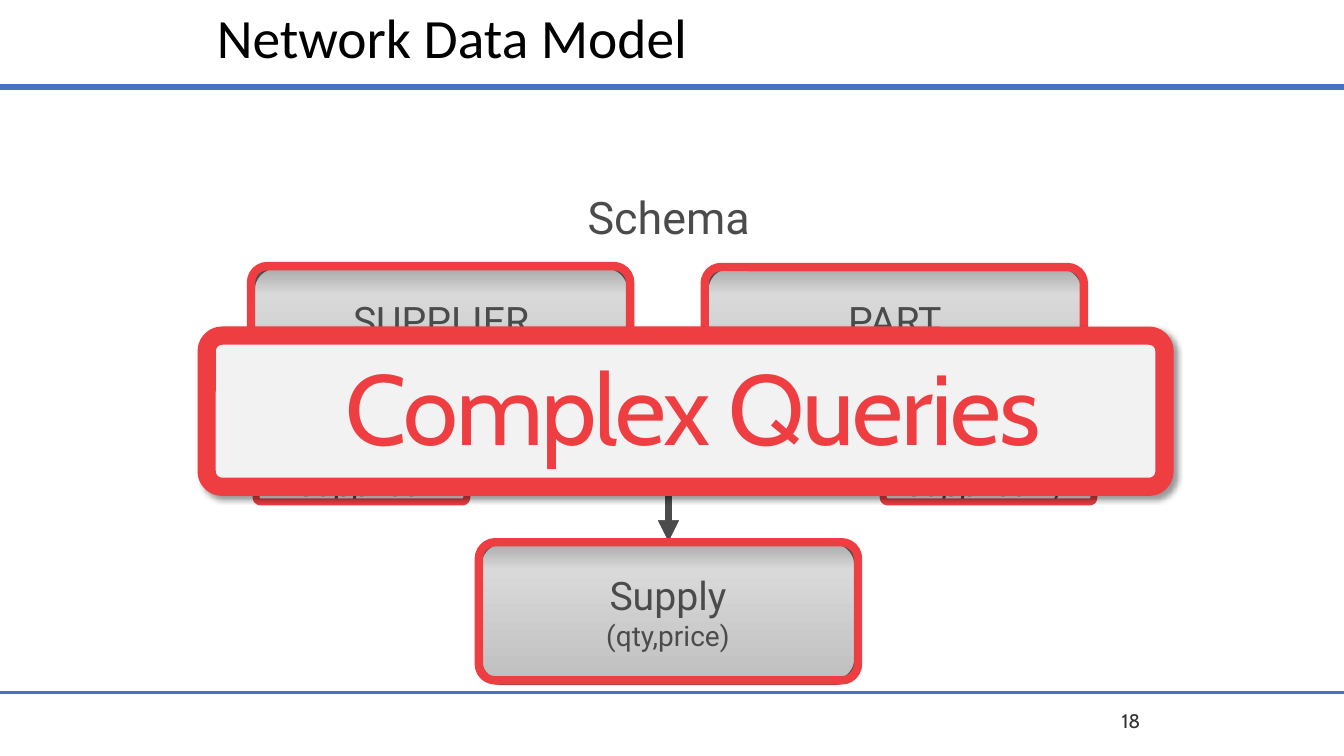
from copy import deepcopy
from lxml import etree
from pptx import Presentation
from pptx.dml.color import RGBColor
from pptx.enum.shapes import MSO_CONNECTOR, MSO_SHAPE
from pptx.enum.text import MSO_ANCHOR, MSO_AUTO_SIZE, PP_ALIGN
from pptx.oxml.ns import qn
from pptx.util import Inches, Pt

STRAIGHT, ELBOW = MSO_CONNECTOR.STRAIGHT, MSO_CONNECTOR.ELBOW
ROUND = MSO_SHAPE.ROUNDED_RECTANGLE
MIDDLE, TOP = MSO_ANCHOR.MIDDLE, MSO_ANCHOR.TOP
LEFT, CENTER, RIGHT = PP_ALIGN.LEFT, PP_ALIGN.CENTER, PP_ALIGN.RIGHT
FIT, FIXED = MSO_AUTO_SIZE.SHAPE_TO_FIT_TEXT, MSO_AUTO_SIZE.NONE
RED, GRAY, BLUE = "EF3E42", "4B4B4B", "4472C4"
STOPS = [(0, "A6A6A6"), (0.2, "D9D9D9"), (1, "BFBFBF")]


def paint(code):
    return RGBColor.from_string(code)


def put(target, values):
    for name, value in values.items():
        setattr(target, name, value)


def child(parent, tag, **values):
    return etree.SubElement(parent, qn(tag), values)


class Board:
    """Holds the text style and the slide being drawn."""

    def __init__(self, deck):
        self.slide = deck.slides.add_slide(deck.slide_layouts[5])
        self.shapes = self.slide.shapes
        self.style = {"name": "Roboto", "color": GRAY}

    def words(self, par, text, **style):
        run = par.add_run()
        run.text = text
        style = {**self.style, **style}
        run.font.color.rgb = paint(style.pop("color"))
        style["size"] = Pt(style["size"])
        put(run.font, style)
        return run

    def title(self, text, at):
        box = self.shapes.title
        put(box, dict(zip(("left", "top", "width", "height"), map(Inches, at))))
        put(box.text_frame, {"vertical_anchor": MIDDLE, "word_wrap": True, "auto_size": FIXED})
        par = box.text_frame.paragraphs[0]
        put(par, {"alignment": LEFT, "line_spacing": 0.9})
        self.words(par, text, size=39.6, name="Calibri", color="000000")

    def label(self, text, at, size, frame=None, align=LEFT, space=None, **style):
        box = self.shapes.add_textbox(*map(Inches, at)).text_frame
        base = {"word_wrap": False, "auto_size": FIT, "vertical_anchor": TOP}
        put(box, {**base, **(frame or {})})
        par = box.paragraphs[0]
        put(par, {"alignment": align, "line_spacing": space})
        return self.words(par, text, size=size, **style)

    def frame(self, at, width, color=RED, fill=None, bend=0.118):
        box = self.shapes.add_shape(ROUND, *map(Inches, at))
        box.shadow.inherit = False
        box.adjustments[0] = bend
        if fill:
            box.fill.solid()
            box.fill.fore_color.rgb = paint(fill)
        else:
            box.fill.background()
        box.line.color.rgb = paint(color)
        box.line.width = Pt(width)
        return box

    def record(self, at, name, fields):
        box = self.frame(at, 4, GRAY, bend=0.16667)
        box.fill.gradient()
        box.fill.gradient_angle = 270
        stops = box._element.spPr.find(".//" + qn("a:gsLst"))
        stops.append(deepcopy(stops[-1]))
        for stop, (place, code) in zip(box.fill.gradient_stops, STOPS):
            stop.position = place
            stop.color.rgb = paint(code)
        text = box.text_frame
        sides = ("left", "top", "right", "bottom")
        put(text, {f"margin_{side}": Inches(0.05) for side in sides})
        put(text, {"vertical_anchor": MIDDLE, "word_wrap": True})
        head, body = text.paragraphs[0], text.add_paragraph()
        head.alignment = body.alignment = CENTER
        self.words(head, name, size=28)
        for part, under in fields:
            self.words(body, part, size=20, underline=under)

    def line(self, kind, ends, color, width):
        link = self.shapes.add_connector(kind, *map(Inches, ends))
        link.line.color.rgb = paint(color)
        link.line.width = Pt(width)
        child(link._element.spPr, "a:effectLst")
        return link

    def arrow(self, ends, turn):
        props = self.line(ELBOW, ends, GRAY, 5)._element.spPr
        props.find(qn("a:xfrm")).set("rot", str(turn * 60000))
        child(props.find(qn("a:ln")), "a:tailEnd", type="triangle")

    def banner(self, text):
        box = self.frame((2.05, 3.33, 9.5, 1.5), 13, fill="F2F2F2", bend=0.102)
        glow = box._element.spPr.find(qn("a:effectLst"))
        shade = child(glow, "a:outerShdw", blurRad=str(Pt(4)), dist=str(Pt(3)),
                      dir="2700000", algn="tl", rotWithShape="0")
        child(child(shade, "a:srgbClr", val="000000"), "a:alpha", val="40000")
        run = self.label(text, (3.33, 3.61, 8.91, 1.06), 71, space=0.8, name="Cabin", color=RED)
        run.font._element.set("spc", "-150")


def main():
    deck = Presentation()
    put(deck, {"slide_width": Inches(13.33), "slide_height": Inches(7.5)})
    board = Board(deck)
    for top, width in ((0.86, 4.5), (6.87, 1.5)):
        board.line(STRAIGHT, (0, top, 13.33, top), BLUE, width)
    board.title("Network Data Model", (2.05, 0.02, 9.83, 0.76))
    board.label("18", (9.08, 6.95, 2.33, 0.4), 14, align=RIGHT, name="Cabin", color="323232",
                frame={"word_wrap": True, "auto_size": FIXED, "vertical_anchor": MIDDLE})
    records = [
        (4.75, 5.37, "Supply", [("(qty,price)", False)]),
        (2.5, 2.64, "SUPPLIER", [("(", False), ("sno", True), (",sname,scity,sstate)", False)]),
        (7, 2.64, "PART", [("(", False), ("pno", True), (",pname,psize)", False)]),
    ]
    for left, top, name, fields in records:
        board.record((left, top, 3.75, 1.4), name, fields)
    board.label("Supplies", (2.85, 4.54, 1.83, 0.5), 24, italic=True)
    board.arrow((6.17, 3.58, 4.84, 5.83), 270)
    board.arrow((7.09, 3.58, 8.42, 5.83), 90)
    board.label("SuppliedBy", (8.88, 4.54, 2.24, 0.5), 24, italic=True)
    board.label("Schema", (5.73, 1.83, 1.85, 0.64), 32)
    for left in (2.54, 8.76):
        board.frame((left, 4.61, 2.09, 0.37), 5)
    for left, top in ((2.49, 2.64), (6.99, 2.65), (4.75, 5.38)):
        board.frame((left, top, 3.76, 1.37), 6)
    board.banner("Complex Queries")
    deck.save("out.pptx")


if __name__ == "__main__":
    main()
